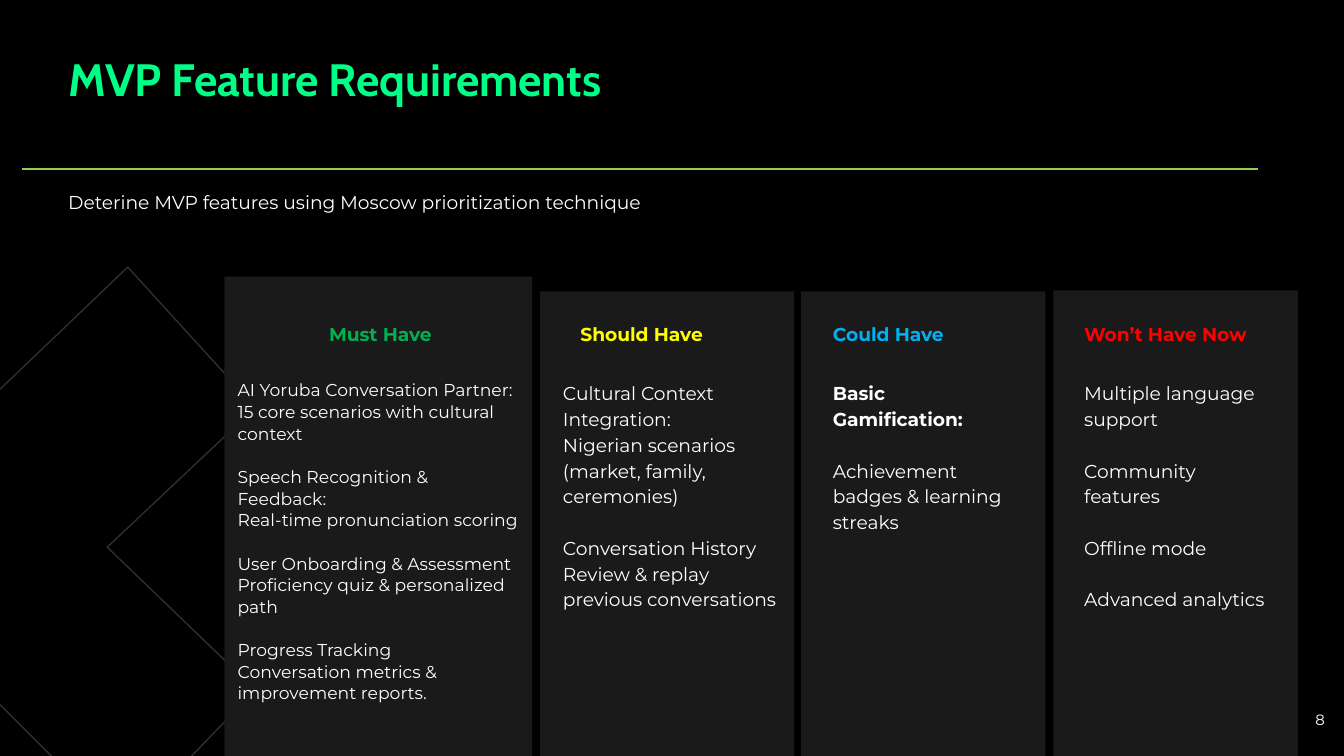
from lxml.etree import SubElement
from pptx import Presentation
from pptx.dml.color import RGBColor
from pptx.enum.shapes import MSO_CONNECTOR, MSO_SHAPE
from pptx.enum.text import MSO_ANCHOR, MSO_AUTO_SIZE, PP_ALIGN
from pptx.oxml.ns import qn
from pptx.util import Cm, Pt

FONT = "Montserrat"
WHITE = "FFFFFF"
GREY = "2F2F2F"
CARDS = [
    ((4.24, 5.23, 5.82, 9.06), "Must Have", "00B050", 1.73, 0, 5.82, (9.2, 1.05, 11.6), [
        ["AI Yoruba Conversation Partner:", "15 core scenarios with cultural context"],
        ["Speech Recognition & Feedback:", "Real-time pronunciation scoring"],
        ["User Onboarding & Assessment", "Proficiency quiz & personalized path"],
        ["Progress Tracking", "Conversation metrics & improvement reports."]]),
    ((10.21, 5.51, 4.8, 8.78), "Should Have", "FFFF00", 0.51, 0.18, 4.62, (10, 1.15, 13.8), [
        ["Cultural Context Integration:", "Nigerian scenarios (market, family, ceremonies)"],
        ["Conversation History", "Review & replay previous conversations"]]),
    ((15.14, 5.51, 4.62, 8.78), "Could Have", "00B0F0", 0.35, 0.35, 3.96, (10, 1.15, 13.8), [
        ["Basic Gamification:"], ["Achievement badges & learning streaks"]]),
    ((19.91, 5.49, 4.62, 8.8), "Won’t Have Now", "FF0000", 0.33, 0.33, 3.96, (10, 1.15, 13.8), [
        ["Multiple language support"], ["Community features"],
        ["Offline mode"], ["Advanced analytics"]]),
]


def paint(form, color):
    """Give a fill or font colour a hex value."""
    if hasattr(form, "solid"):
        form.solid()
        form = form.fore_color
    form.rgb = RGBColor.from_string(color)


def place(shape, box):
    """Move a shape to a box in centimetres."""
    shape.left, shape.top, shape.width, shape.height = map(Cm, box)


def style(part, size, color, bold=False, font=FONT):
    """Format every run of a paragraph."""
    for run in part.runs:
        run.font.size, run.font.bold, run.font.name = Pt(size), bold, font
        paint(run.font.color, color)


def frame(shape, anchor=MSO_ANCHOR.TOP):
    """Set the margins, wrapping and anchor of a text frame."""
    text = shape.text_frame
    text.word_wrap, text.auto_size = True, MSO_AUTO_SIZE.NONE
    text.vertical_anchor = anchor
    text.margin_left = text.margin_right = Cm(0.25)
    text.margin_top = text.margin_bottom = Cm(0.25)
    return text


def label(slide, box, words, size=10, color=WHITE, bold=False,
          anchor=MSO_ANCHOR.TOP, align=PP_ALIGN.LEFT):
    """Add a one-paragraph text box."""
    text = frame(slide.shapes.add_textbox(*map(Cm, box)), anchor)
    text.text = words
    text.paragraphs[0].alignment = align
    style(text.paragraphs[0], size, color, bold)


def line(slide, start, end, color, width):
    """Draw a straight line without a shadow."""
    rule = slide.shapes.add_connector(MSO_CONNECTOR.STRAIGHT, *map(Cm, start + end))
    paint(rule.line.fill, color)
    rule.line.width = Pt(width)
    SubElement(rule.element.spPr, qn("a:effectLst"))


def decor(slide, box):
    """Draw the angular outline behind the cards."""
    left, top, wide, high = box
    marks = [(0, 0.25), (0.5, 0), (1, 0.287), (0.42, 0.573), (1, 0.865), (0.75, 1)]
    dots = [(Cm(left + x * wide), Cm(top + y * high)) for x, y in marks]
    path = slide.shapes.build_freeform(*dots[0])
    path.add_line_segments(dots[1:], close=False)
    shape = path.convert_to_shape()
    shape.shadow.inherit = False
    shape.fill.background()
    paint(shape.line.fill, GREY)
    shape.line.width = Pt(0.75)
    low = top + high
    line(slide, (left, low - 0.97), (left + 0.97, low), GREY, 0.75)


def header(slide, box):
    """Place the title, the rule and the subtitle."""
    left, top, wide, high = box
    title = slide.shapes.title
    place(title, (left, top, 14.99, 2.44))
    text = frame(title)
    text.text = "MVP Feature Requirements"
    part = text.paragraphs[0]
    part.alignment, part.line_spacing = PP_ALIGN.LEFT, 0.9
    style(part, 24.3, "00FF87", True, "Cabin")
    line(slide, (left - 0.63, top + 2.36), (left - 0.63 + wide, top + 2.36), "92D050", 1)
    label(slide, (left, top + 2.51, 16.26, high - 2.51),
          "Deterine MVP features using Moscow prioritization technique")


def fill(body, groups, size, spacing, gap):
    """Write groups of lines into a body placeholder."""
    text = frame(body)
    text.text = "\n".join(item for group in groups for item in group)
    heads = [group[0] for group in groups[1:]]
    for part in text.paragraphs:
        part.alignment, part.line_spacing = PP_ALIGN.LEFT, spacing
        part.space_before = Pt(gap if part.text in heads else 0)
        part.space_after = Pt(0)
        props = part._p.get_or_add_pPr()
        props.set("marL", "0")
        props.set("indent", "0")
        SubElement(props, qn("a:buNone"))
        style(part, size, WHITE, part.text == "Basic Gamification:")


def card(slide, body, box, name, color, shift, inset, wide, look, groups):
    """Build one priority column with its heading and list."""
    left, top = box[:2]
    panel = slide.shapes.add_shape(MSO_SHAPE.RECTANGLE, *map(Cm, box))
    panel.shadow.inherit = False
    paint(panel.fill, "1A1A1A")
    panel.line.fill.background()
    low = top + box[3]
    label(slide, (left + shift, low - 8.52, 3.96, 1.09), name, 10, color, True,
          MSO_ANCHOR.MIDDLE)
    place(body, (left + inset, low - 7.38, wide, 6.4))
    fill(body, groups, *look)
    slide.shapes.element.append(body.element)


def main():
    """Build and save the slide."""
    deck = Presentation()
    deck.slide_width, deck.slide_height = Cm(25.4), Cm(14.29)
    slide = deck.slides.add_slide(deck.slide_layouts[4])
    paint(slide.background.fill, "000000")
    decor(slide, (0, 5.05, 4.83, 9.24))
    header(slide, (1.04, 0.84, 23.36, 4.39))
    bodies = [item for item in slide.placeholders if item.placeholder_format.idx]
    for body, data in zip(bodies, CARDS):
        card(slide, body, *data)
    label(slide, (23.77, 13.18, 1.52, 1.09), "8", 8, align=PP_ALIGN.RIGHT)
    deck.save("out.pptx")


if __name__ == "__main__":
    main()
